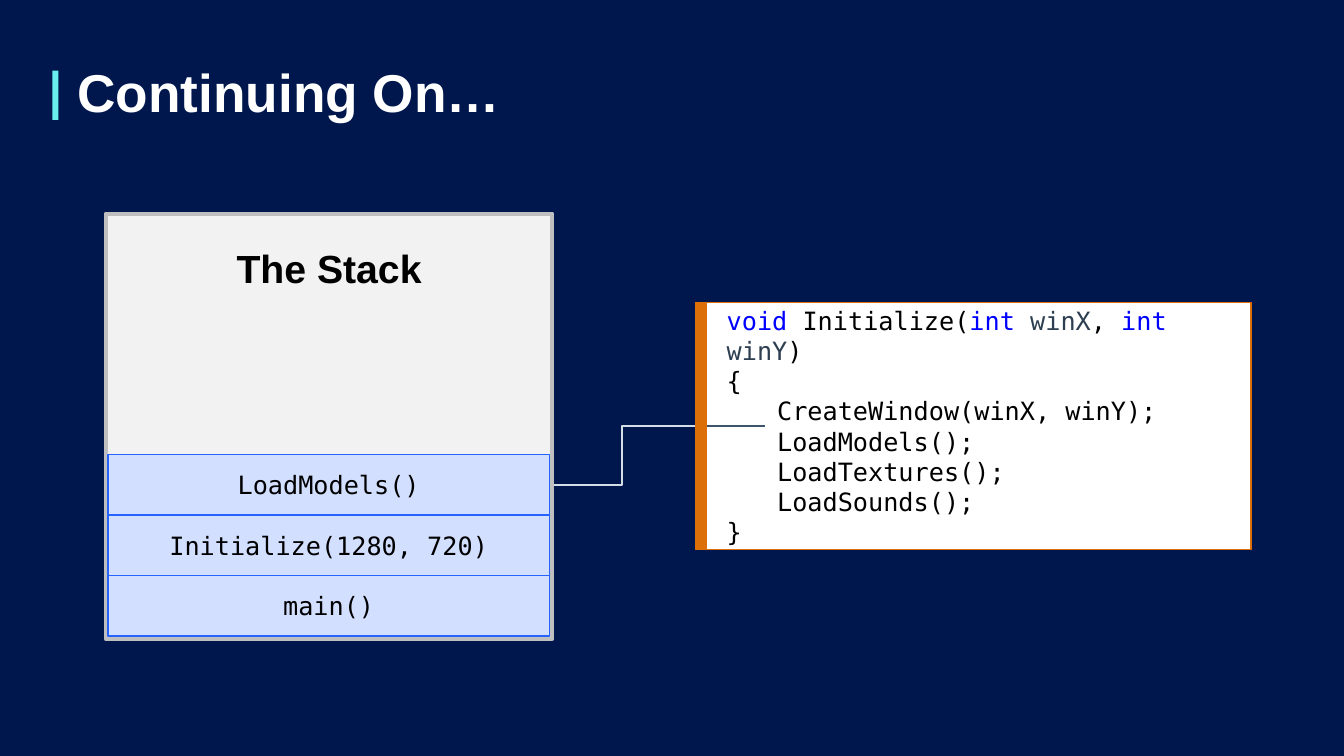
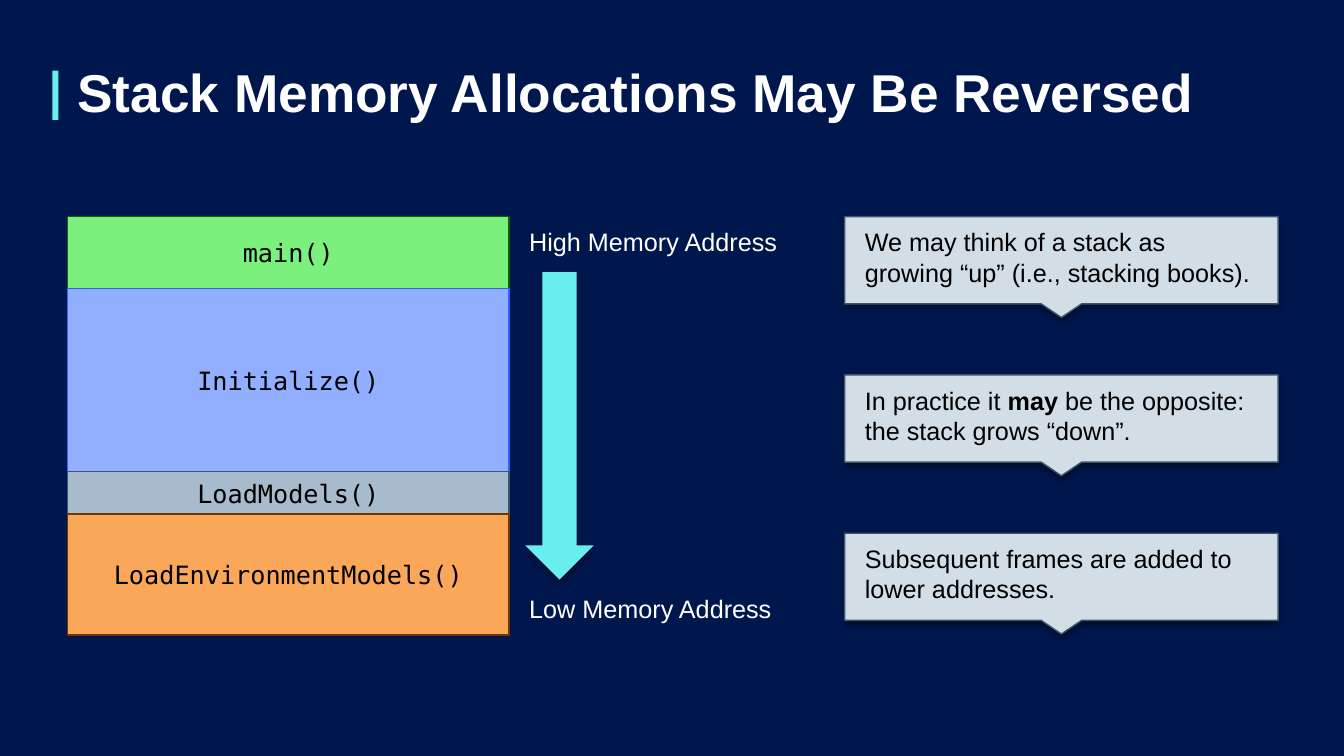
"""Build two slides about how stack frames are laid out in memory."""
from dataclasses import dataclass, replace
from lxml.etree import SubElement
from pptx import Presentation
from pptx.dml.color import RGBColor
from pptx.enum.shapes import MSO_CONNECTOR as Connector, MSO_SHAPE as Shape
from pptx.enum.text import MSO_ANCHOR as Anchor, PP_ALIGN as Align
from pptx.oxml.ns import qn
from pptx.util import Inches, Pt

NAVY = RGBColor(0x00, 0x17, 0x4E)
CYAN = RGBColor(0x69, 0xEE, 0xF0)
WHITE = RGBColor(0xFF, 0xFF, 0xFF)
BLACK = RGBColor(0x00, 0x00, 0x00)
PALE_GRAY = RGBColor(0xF2, 0xF2, 0xF2)
GRAY = RGBColor(0xBF, 0xBF, 0xBF)
MIST = RGBColor(0xD3, 0xDD, 0xE5)
STEEL = RGBColor(0xA7, 0xBB, 0xCD)
SLATE = RGBColor(0x3C, 0x55, 0x6C)
DARK_SLATE = RGBColor(0x2D, 0x3F, 0x51)
ORANGE = RGBColor(0xDD, 0x6F, 0x08)
LIGHT_ORANGE = RGBColor(0xFA, 0xA7, 0x5A)
BROWN = RGBColor(0x6E, 0x37, 0x03)
LIGHT_GREEN = RGBColor(0x7C, 0xF0, 0x7C)
GREEN = RGBColor(0x0B, 0x63, 0x0C)
BLUE = RGBColor(0x27, 0x63, 0xFF)
LIGHT_BLUE = RGBColor(0x92, 0xAF, 0xFF)
PALE_BLUE = RGBColor(0xD3, 0xDF, 0xFF)
KEYWORD_BLUE = RGBColor(0x00, 0x00, 0xFF)

CELL = Inches(0.1)
COLUMNS, ROWS = 133.33, 75
FRAME_WIDTH = 43.8
CONTENT_TOP = 21.5
TIGHT = (1, 0.5, 1, 0.5)
ROOMY = (2, 2, 2, 2)


@dataclass(frozen=True)
class Style:
    font: str
    size: int
    color: RGBColor
    bold: bool = False


TITLE = Style("Arial", 38, WHITE, True)
HEADING = Style("Arial", 28, BLACK, True)
BODY = Style("Arial", 18, BLACK)
STRONG = replace(BODY, bold=True)
LABEL = replace(BODY, color=WHITE)
CODE = Style("DejaVu Sans Mono", 18, BLACK)
KEYWORD = replace(CODE, color=KEYWORD_BLUE)
PARAMETER = replace(CODE, color=DARK_SLATE)


def cells(*counts):
    return [round(count * CELL) for count in counts]


class Deck:
    def __init__(self):
        self.show = Presentation()
        self.show.slide_width, self.show.slide_height = cells(COLUMNS, ROWS)
        self.page = None

    def add_page(self, title):
        self.page = self.show.slides.add_slide(self.show.slide_layouts[6])
        self.page.background.fill.solid()
        self.page.background.fill.fore_color.rgb = NAVY
        self.block((5.2, 7, 0.6, 4.9), CYAN)
        box = self.label((6.7, 6.1, 119, 6.8), [[(title, TITLE)]], TIGHT)
        box.text_frame.paragraphs[0].line_spacing = 0.9

    def fill_text(self, box, paragraphs, insets=TIGHT, align=Align.LEFT, anchor=Anchor.MIDDLE):
        frame = box.text_frame
        frame.word_wrap = True
        frame.vertical_anchor = anchor
        (frame.margin_left, frame.margin_top,
         frame.margin_right, frame.margin_bottom) = cells(*insets)
        for index, spans in enumerate(paragraphs):
            para = frame.add_paragraph() if index else frame.paragraphs[0]
            para.alignment = align
            for text, style in spans:
                span = para.add_run()
                span.text = text
                span.font.name = style.font
                span.font.size = Pt(style.size)
                span.font.bold = style.bold
                span.font.color.rgb = style.color

    def paint(self, shape, fill, line=None, weight=1, shadow=False):
        shape.shadow.inherit = False
        shape.fill.solid()
        shape.fill.fore_color.rgb = fill
        if line is None:
            shape.line.fill.background()
        else:
            shape.line.color.rgb = line
            shape.line.width = Pt(weight)
        if shadow:
            effects = shape._element.spPr.find(qn("a:effectLst"))
            outer = SubElement(effects, qn("a:outerShdw"), blurRad=str(Pt(4)),
                               dist=str(Pt(3)), dir="5400000", rotWithShape="0")
            color = SubElement(outer, qn("a:srgbClr"), val=str(BLACK))
            SubElement(color, qn("a:alpha"), val="40000")

    def block(self, area, fill, line=None, weight=1, kind=Shape.RECTANGLE, shadow=False):
        shape = self.page.shapes.add_shape(kind, *cells(*area))
        self.paint(shape, fill, line, weight, shadow)
        return shape

    def label(self, area, paragraphs, insets=ROOMY):
        box = self.page.shapes.add_textbox(*cells(*area))
        self.fill_text(box, paragraphs, insets)
        return box

    def connect(self, kind, start, end, color):
        line = self.page.shapes.add_connector(kind, *cells(*start, *end))
        line.line.color.rgb = color
        line.line.width = Pt(1.5)
        SubElement(line._element.spPr, qn("a:effectLst"))

    def stack(self, left, top, frames):
        for name, height, fill, line in frames:
            box = self.block((left, top, FRAME_WIDTH, height), fill, line)
            self.fill_text(box, [[(name, CODE)]], align=Align.CENTER)
            top += height

    def callout(self, left, top, paragraphs):
        width, height, body, tip = 43, 10, 8.65, 2
        right, middle, base = left + width, left + width / 2, top + body
        outline = [(right, top), (right, base), (middle + tip, base),
                   (middle, top + height), (middle - tip, base), (left, base)]
        builder = self.page.shapes.build_freeform(*cells(left, top))
        builder.add_line_segments([cells(*point) for point in outline], close=True)
        shape = builder.convert_to_shape()
        self.paint(shape, MIST, SLATE, shadow=True)
        self.fill_text(shape, paragraphs, (2, 0, 2, 2))


def draw_call_stack(deck):
    deck.add_page("Continuing On…")
    deck.connect(Connector.ELBOW, (54.5, 48.1), (69, 42.3), MIST)
    panel = deck.block((10.5, 21.2, 44.3, 42.2), PALE_GRAY, GRAY, 3)
    deck.fill_text(panel, [[("The Stack", HEADING)]], (1, 3, 1, 0.5), Align.CENTER, Anchor.TOP)
    signature = [("void", KEYWORD), (" Initialize(", CODE), ("int ", KEYWORD),
                 ("winX", PARAMETER), (", ", CODE), ("int ", KEYWORD),
                 ("winY", PARAMETER), (")", CODE)]
    body = ["{", "\tCreateWindow(winX, winY);", "\tLoadModels();",
            "\tLoadTextures();", "\tLoadSounds();", "}"]
    listing = deck.block((70.1, 30, 54, 24.5), WHITE, ORANGE)
    deck.fill_text(listing, [signature] + [[(text, CODE)] for text in body], ROOMY)
    deck.connect(Connector.STRAIGHT, (70.1, 42.3), (75.9, 42.3), SLATE)
    deck.block((69, 30, 1.1, 24.5), ORANGE, ORANGE)
    names = ["LoadModels()", "Initialize(1280, 720)", "main()"]
    deck.stack(10.7, 45.1, [(name, 6, PALE_BLUE, BLUE) for name in names])


def draw_reversed_stack(deck):
    deck.add_page("Stack Memory Allocations May Be Reversed")
    deck.stack(6.7, CONTENT_TOP, [
        ("main()", 7.1, LIGHT_GREEN, GREEN),
        ("Initialize()", 18.2, LIGHT_BLUE, BLUE),
        ("LoadModels()", 4.2, STEEL, SLATE),
        ("LoadEnvironmentModels()", 12, LIGHT_ORANGE, BROWN),
    ])
    for text, top in [("High Memory Address", CONTENT_TOP), ("Low Memory Address", 57.9)]:
        deck.label((50.5, top, 29.7, 5), [[(text, LABEL)]])
    deck.block((52.1, 27, 6.8, 30.5), CYAN, kind=Shape.DOWN_ARROW, shadow=True)
    notes = [
        [[("We may think of a stack as growing “up” (i.e., stacking books).", BODY)]],
        [[("In practice it ", BODY), ("may", STRONG), (" be the opposite:", BODY)],
         [("the stack grows “down”.", BODY)]],
        [[("Subsequent frames are added to lower addresses.", BODY)]],
    ]
    for index, paragraphs in enumerate(notes):
        deck.callout(83.8, CONTENT_TOP + index * 15.7, paragraphs)


def main():
    deck = Deck()
    draw_call_stack(deck)
    draw_reversed_stack(deck)
    deck.show.save("out.pptx")


if __name__ == "__main__":
    main()
